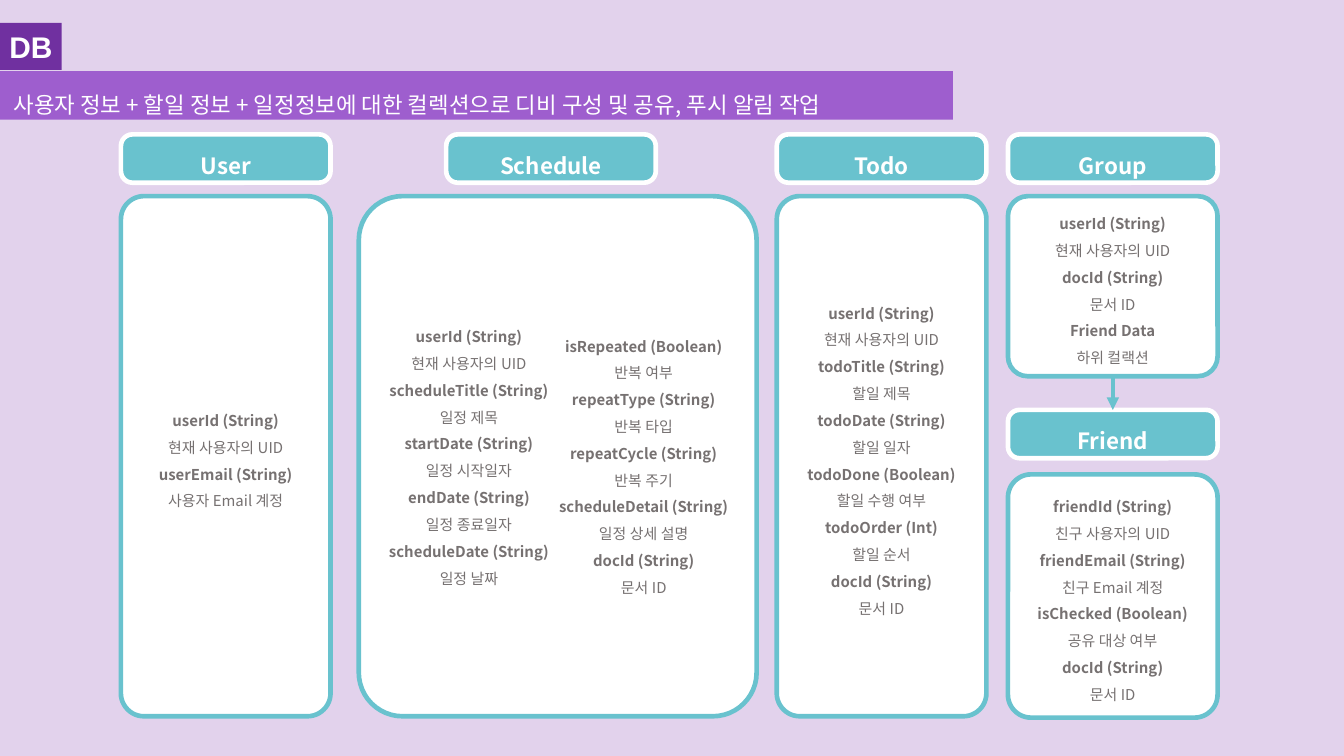
from lxml.etree import SubElement
from pptx import Presentation
from pptx.dml.color import RGBColor
from pptx.enum.shapes import MSO_CONNECTOR as LINK, MSO_SHAPE as SHAPE
from pptx.enum.text import MSO_ANCHOR as ANCHOR, MSO_AUTO_SIZE as FIT, PP_ALIGN as ALIGN
from pptx.oxml.ns import qn
from pptx.util import Inches, Pt

COLORS = {"back": "E2D2EC", "tag": "7030A0", "band": "9E5ECE",
          "teal": "69C2CE", "white": "FFFFFF", "gray": "767171"}
FONT = "Noto Sans CJK KR"
WIDE, HEAD_H = 1.56, 0.36
TOP, BODY_Y, BODY_H = 1, 1.46, 3.87

USER = [("userId (String)", "현재 사용자의 UID"), ("userEmail (String)", "사용자 Email 계정")]
PLAN_LEFT = [("userId (String)", "현재 사용자의 UID"), ("scheduleTitle (String)", "일정 제목"),
             ("startDate (String)", "일정 시작일자"), ("endDate (String)", "일정 종료일자"),
             ("scheduleDate (String)", "일정 날짜")]
PLAN_RIGHT = [("isRepeated (Boolean)", "반복 여부"), ("repeatType (String)", "반복 타입"),
              ("repeatCycle (String)", "반복 주기"), ("scheduleDetail (String)", "일정 상세 설명"),
              ("docId (String)", "문서 ID")]
TODO = [("userId (String)", "현재 사용자의 UID"), ("todoTitle (String)", "할일 제목"),
        ("todoDate (String)", "할일 일자"), ("todoDone (Boolean)", "할일 수행 여부"),
        ("todoOrder (Int)", "할일 순서"), ("docId (String)", "문서 ID")]
GROUP = [("userId (String)", "현재 사용자의 UID"), ("docId (String)", "문서 ID"),
         ("Friend Data", "하위 컬랙션")]
FRIEND = [("friendId (String)", "친구 사용자의 UID"), ("friendEmail (String)", "친구 Email 계정"),
          ("isChecked (Boolean)", "공유 대상 여부"), ("docId (String)", "문서 ID")]


def color(name):
    return RGBColor.from_string(COLORS[name])


def set_frame(shape, anchor=ANCHOR.MIDDLE, wrap=True, side=0.07, edge=0.04):
    frame = shape.text_frame
    frame.auto_size = FIT.NONE
    frame.word_wrap = wrap
    frame.vertical_anchor = anchor
    frame.margin_left = frame.margin_right = Inches(side)
    frame.margin_top = frame.margin_bottom = Inches(edge)


def write(para, text, size=12, ink="white", bold=False, font=FONT,
          align=ALIGN.CENTER, spacing=1.5):
    para.alignment = align
    para.line_spacing = spacing
    para.space_before = Pt(0)
    run = para.add_run()
    run.text = text
    run.font.size = Pt(size)
    run.font.bold = bold
    run.font.name = font
    run.font.color.rgb = color(ink)
    run.font._element.set("kern", "0")
    SubElement(run.font._element, qn("a:ea"), typeface=font)


def write_fields(shape, fields):
    """Write each field name in bold with its meaning on the next line."""
    frame = shape.text_frame
    lines = [(text, i == 0) for pair in fields for i, text in enumerate(pair)]
    for i, (text, bold) in enumerate(lines):
        para = frame.add_paragraph() if i else frame.paragraphs[0]
        write(para, text, size=8, ink="gray", bold=bold)


def add_box(slide, kind, x, y, w, h, fill, line=None, round_by=None):
    box = slide.shapes.add_shape(kind, Inches(x), Inches(y), Inches(w), Inches(h))
    box.shadow.inherit = False
    box.fill.solid()
    box.fill.fore_color.rgb = color(fill)
    if line:
        box.line.color.rgb = color(line)
        box.line.width = Pt(2.5)
    else:
        box.line.fill.background()
    if round_by is not None:
        box.adjustments[0] = round_by
    set_frame(box)
    return box


def add_head(slide, text, x, y=TOP):
    box = add_box(slide, SHAPE.ROUNDED_RECTANGLE, x, y, WIDE, HEAD_H, "teal", "white", 0.24)
    write(box.text_frame.paragraphs[0], text, bold=True)


def add_body(slide, x, y=BODY_Y, w=WIDE, h=BODY_H, fields=()):
    box = add_box(slide, SHAPE.ROUNDED_RECTANGLE, x, y, w, h, "white", "teal", 0.11)
    write_fields(box, fields)


def add_column(slide, x, y, w, h, fields):
    box = slide.shapes.add_textbox(Inches(x), Inches(y), Inches(w), Inches(h))
    set_frame(box, side=0, edge=0)
    write_fields(box, fields)


def add_arrow(slide, x, start, end):
    link = slide.shapes.add_connector(LINK.STRAIGHT, Inches(x), Inches(start),
                                      Inches(x), Inches(end))
    link.line.color.rgb = color("teal")
    link.line.width = Pt(2.25)
    SubElement(link.line._get_or_add_ln(), qn("a:tailEnd"), type="triangle")
    SubElement(link._element.spPr, qn("a:effectLst"))


def add_title(slide, text):
    title = slide.shapes.title
    title.left, title.top = Inches(0), Inches(0.53)
    title.width, title.height = Inches(7.09), Inches(0.36)
    title.fill.solid()
    title.fill.fore_color.rgb = color("band")
    set_frame(title, ANCHOR.TOP, wrap=False, side=0.1, edge=0.05)
    write(title.text_frame.paragraphs[0], text, align=ALIGN.LEFT)


def add_tag(slide, text):
    tag = add_box(slide, SHAPE.RECTANGLE, 0, 0.17, 0.46, 0.35, "tag")
    set_frame(tag, ANCHOR.TOP, wrap=False)
    write(tag.text_frame.paragraphs[0], text, size=16, bold=True, font="Arial", spacing=1)


def main():
    deck = Presentation()
    deck.slide_width = Inches(10)
    deck.slide_height = deck.slide_width * 9 // 16
    slide = deck.slides.add_slide(deck.slide_layouts[5])
    slide.background.fill.solid()
    slide.background.fill.fore_color.rgb = color("back")

    add_tag(slide, "DB")
    add_title(slide, "사용자 정보 + 할일 정보 + 일정정보에 대한 컬렉션으로 디비 구성 및 공유, 푸시 알림 작업")

    for text, x, fields in [("User", 0.9, USER), ("Todo", 5.78, TODO)]:
        add_head(slide, text, x)
        add_body(slide, x, fields=fields)

    add_head(slide, "Schedule", 3.32)
    add_body(slide, 2.67, w=2.96)
    add_column(slide, 2.84, 2.37, 1.3, 2, PLAN_LEFT)
    add_column(slide, 4.14, 2.44, 1.3, 2, PLAN_RIGHT)

    right = 7.5
    add_head(slide, "Group", right)
    add_body(slide, right, h=1.34, fields=GROUP)
    add_head(slide, "Friend", right, 3.05)
    add_body(slide, right, 3.53, h=1.81, fields=FRIEND)
    add_arrow(slide, right + WIDE / 2, 2.81, 3.05)

    deck.save("out.pptx")


if __name__ == "__main__":
    main()
